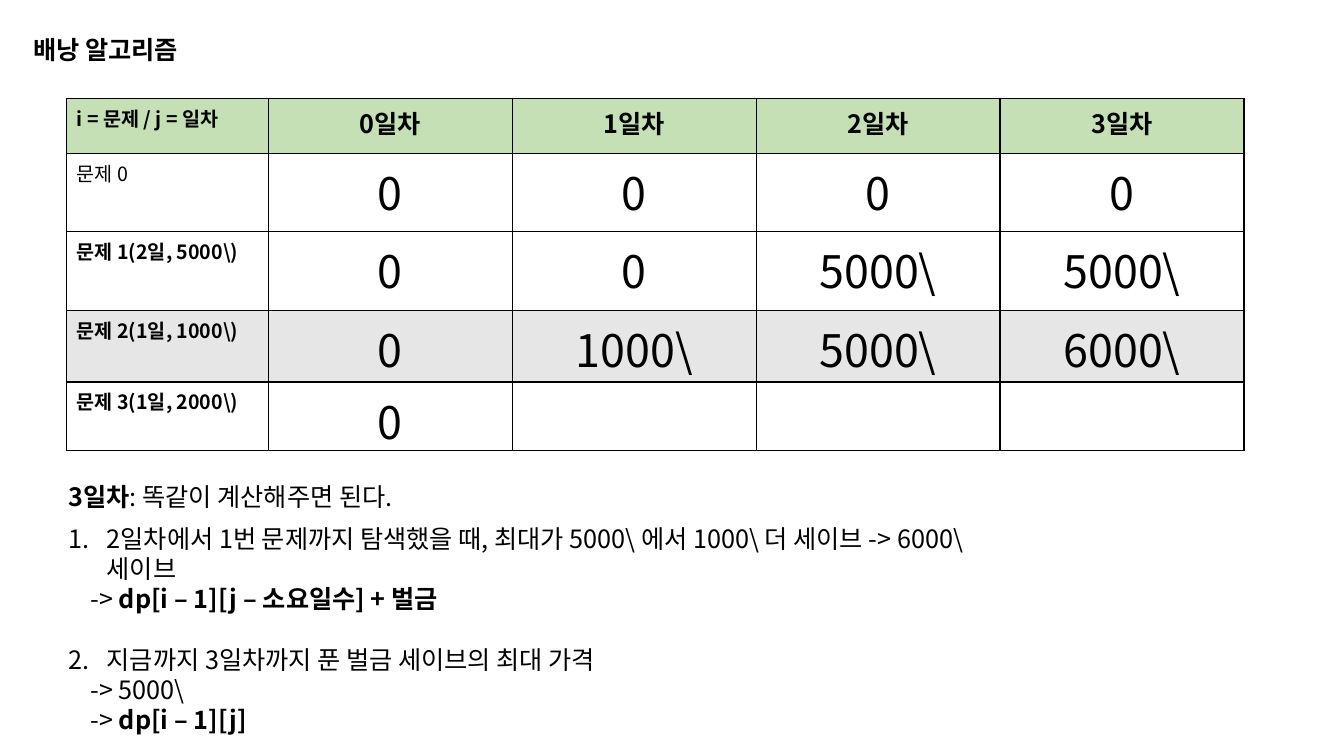
from lxml import etree
from pptx import Presentation
from pptx.dml.color import RGBColor
from pptx.enum import text
from pptx.oxml import ns
from pptx.util import Inches, Pt

# Content
TITLE = [("배낭 알고리즘", True)]
HEADER = ["i = 문제 / j = 일차", "0일차", "1일차", "2일차", "3일차"]
PROBLEMS = [
    ["문제 0", "0", "0", "0", "0"],
    ["문제 1(2일, 5000\\)", "0", "0", "5000\\", "5000\\"],
    ["문제 2(1일, 1000\\)", "0", "1000\\", "5000\\", "6000\\"],
    ["문제 3(1일, 2000\\)", "0", "", "", ""],
]
CURRENT_ROW = 3
DAY = [("3일차", True), (": 똑같이 계산해주면 된다.", False)]
# Each step: numbered statement, then its results as (text, bold) runs
STEPS = [
    ("2일차에서 1번 문제까지 탐색했을 때, 최대가 5000\\ 에서 1000\\ 더 세이브 -> 6000\\ 세이브",
     [[("-> ", False), ("dp[i – 1][j – 소요일수] + 벌금", True)]]),
    ("지금까지 3일차까지 푼 벌금 세이브의 최대 가격",
     [[("-> 5000\\", False)],
      [("-> ", False), ("dp[i – 1][j]", True)]]),
]

# Style
FONT = "Noto Sans CJK KR"
BLACK = RGBColor(0x00, 0x00, 0x00)
WHITE = RGBColor(0xFF, 0xFF, 0xFF)
GREEN = RGBColor(0xC5, 0xE0, 0xB4)
GRAY = RGBColor(0xE7, 0xE6, 0xE6)
COLUMN_WIDTHS = [2] + [2.42] * 4
ROW_HEIGHTS = [0.54, 0.78, 0.78, 0.71, 0.68]


def write(paragraph, runs, size):
    for words, bold in runs:
        run = paragraph.add_run()
        run.text = words
        if len(runs) > 1:
            run.font.bold = bold
    font = paragraph.font
    font.size, font.name = Pt(size), FONT
    font.color.rgb = BLACK
    if len(runs) == 1:
        font.bold = runs[0][1]
    latin = paragraph._p.pPr.find(".//" + ns.qn("a:latin"))
    east_asian = etree.Element(ns.qn("a:ea"), typeface=FONT)
    latin.addnext(east_asian)


def indent(paragraph, left, first=0):
    properties = paragraph._p.get_or_add_pPr()
    properties.set("marL", str(Inches(left)))
    properties.set("indent", str(Inches(first)))
    return properties


def add_text(left, top, width, height):
    frame = slide.shapes.add_textbox(
        Inches(left), Inches(top), Inches(width), Inches(height)).text_frame
    frame.word_wrap = True
    frame.auto_size = text.MSO_AUTO_SIZE.SHAPE_TO_FIT_TEXT
    return frame


def add_borders(cell):
    properties = cell._tc.get_or_add_tcPr()
    for position, side in enumerate(("lnL", "lnR", "lnT", "lnB")):
        line = etree.Element(ns.qn("a:" + side), w=str(Pt(1)))
        fill = etree.SubElement(line, ns.qn("a:solidFill"))
        etree.SubElement(fill, ns.qn("a:srgbClr"), val=str(BLACK))
        properties.insert(position, line)


deck = Presentation()
deck.slide_width, deck.slide_height = Inches(13.33), Inches(7.5)
slide = deck.slides.add_slide(deck.slide_layouts[6])

# Title
write(add_text(0.23, 0.29, 1.88, 0.4).paragraphs[0], TITLE, 18)

# Knapsack table
rows = [HEADER] + PROBLEMS
savings = slide.shapes.add_table(
    len(rows), len(HEADER), Inches(0.66), Inches(0.98),
    Inches(sum(COLUMN_WIDTHS)), Inches(sum(ROW_HEIGHTS))).table
savings.first_row = savings.horz_banding = False
for column, width in zip(savings.columns, COLUMN_WIDTHS):
    column.width = Inches(width)
for r, values in enumerate(rows):
    savings.rows[r].height = Inches(ROW_HEIGHTS[r])
    for c, value in enumerate(values):
        cell = savings.cell(r, c)
        cell.fill.solid()
        cell.fill.fore_color.rgb = {0: GREEN, CURRENT_ROW: GRAY}.get(r, WHITE)
        add_borders(cell)
        if not value:
            continue
        paragraph = cell.text_frame.paragraphs[0]
        if c:
            paragraph.alignment = text.PP_ALIGN.CENTER
        size = 14 if c == 0 else 18 if r == 0 else 32
        bold = r == 0 or (c == 0 and r > 1)
        write(paragraph, [(value, bold)], size)

# Day heading
write(add_text(0.58, 4.73, 4.68, 0.4).paragraphs[0], DAY, 18)

# Numbered steps with their results
explanation = add_text(0.58, 5.14, 9.17, 2.22)
for number, (statement, results) in enumerate(STEPS, 1):
    if number == 1:
        step = explanation.paragraphs[0]
    else:
        step = explanation.add_paragraph()
        step.space_before = Pt(21.6)
    numbering = indent(step, 0.38, -0.38)
    etree.SubElement(numbering, ns.qn("a:buFont"), typeface="+mj-lt")
    etree.SubElement(numbering, ns.qn("a:buAutoNum"),
                     type="arabicPeriod", startAt=str(number))
    write(step, [(statement, False)], 18)
    for runs in results:
        result = explanation.add_paragraph()
        indent(result, 0.22)
        write(result, runs, 18)

deck.save("out.pptx")
